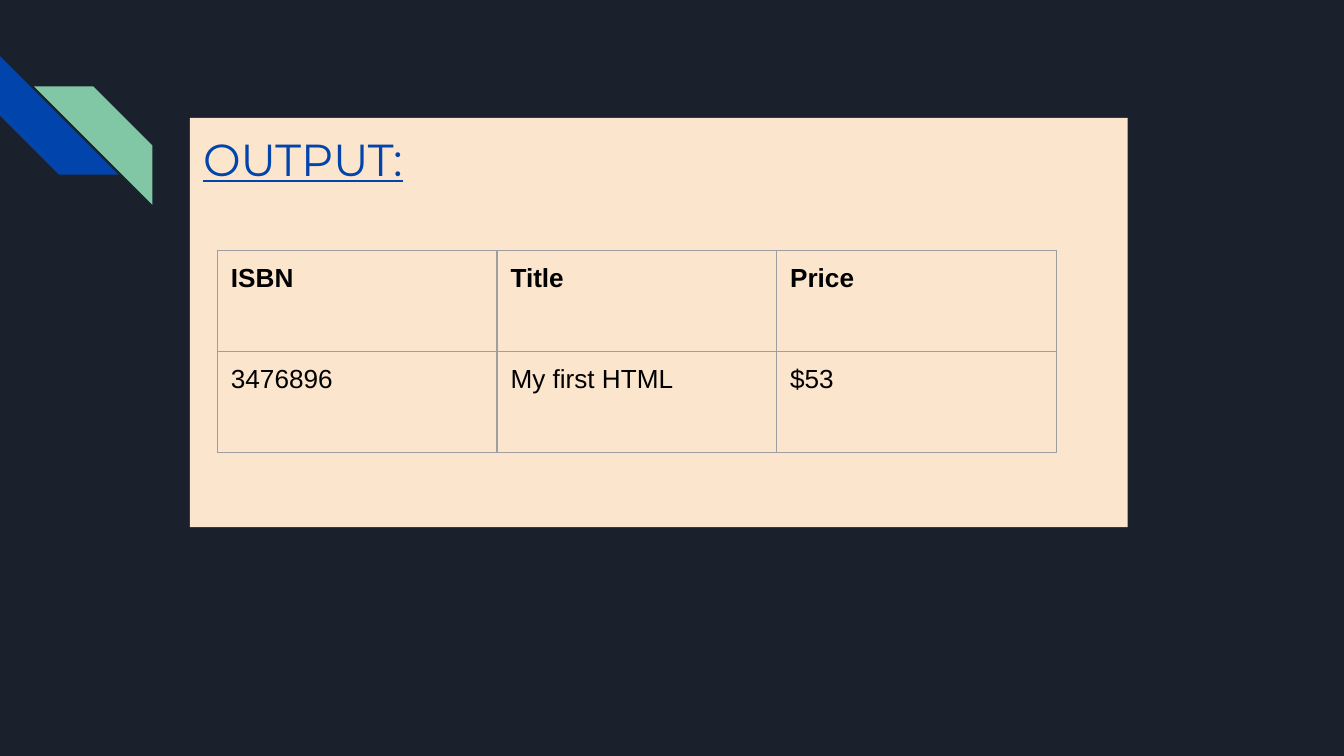
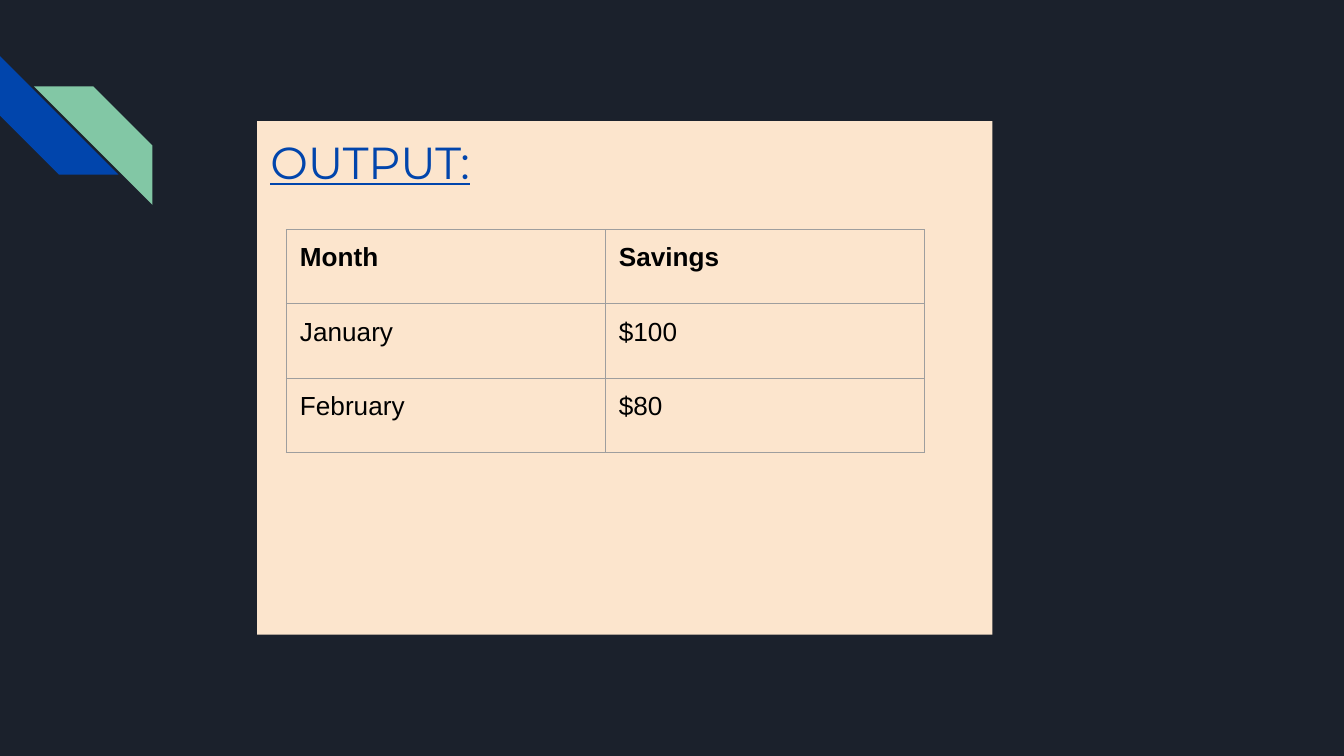
from dataclasses import dataclass
from lxml.etree import SubElement
from pptx import Presentation
from pptx.dml.color import RGBColor
from pptx.enum.shapes import MSO_SHAPE
from pptx.enum.text import MSO_ANCHOR, PP_ALIGN
from pptx.oxml.ns import qn
from pptx.util import Pt


@dataclass(frozen=True)
class Theme:
    night: str = "1B212C"
    blue: str = "0145AC"
    green: str = "82C7A5"
    cream: str = "FCE5CD"
    grey: str = "9E9E9E"
    black: str = "000000"
    head: str = "Montserrat"
    body: str = "Arial"
    large: int = 24
    small: int = 14
    inset: float = 7.2
    rule: float = 0.75


theme = Theme()


def add_box(slide, kind, left, top, width, height, color):
    box = slide.shapes.add_shape(kind, Pt(left), Pt(top), Pt(width), Pt(height))
    box.shadow.inherit = False
    box.fill.solid()
    box.fill.fore_color.rgb = RGBColor.from_string(color)
    box.line.fill.background()
    return box


def set_text(frame, text, name, size, color):
    frame.text = text
    frame.word_wrap = True
    frame.margin_left = frame.margin_right = Pt(theme.inset)
    frame.margin_top = frame.margin_bottom = Pt(theme.inset)
    line = frame.paragraphs[0]
    line.alignment = PP_ALIGN.LEFT
    font = line.runs[0].font
    font.name = name
    font.size = Pt(size)
    font.color.rgb = RGBColor.from_string(color)
    return font


stripes = [
    (0, 30.1, 270, theme.blue),
    (18.2, 46.3, 90, theme.green),
]
side = 63.5

pages = [
    {
        "panel": (101.7, 63.2, 502.4, 219.2),
        "grid": (116.5, 134.2),
        "cell": (149.8, 54.1),
        "rows": [
            ("ISBN", "Title", "Price"),
            ("3476896", "My first HTML", "$53"),
        ],
    },
    {
        "panel": (137.7, 64.9, 394, 275.2),
        "grid": (153.5, 123),
        "cell": (170.9, 39.8),
        "rows": [
            ("Month", "Savings"),
            ("January", "$100"),
            ("February", "$80"),
        ],
    },
]

deck = Presentation()
deck.slide_width = Pt(720)
deck.slide_height = Pt(405)
back = deck.slide_master.background.fill
back.solid()
back.fore_color.rgb = RGBColor.from_string(theme.night)

for page in pages:
    slide = deck.slides.add_slide(deck.slide_layouts[6])

    for left, top, turn, color in stripes:
        stripe = add_box(slide, MSO_SHAPE.DIAGONAL_STRIPE, left, top, side, side, color)
        stripe.adjustments[0] = 0.5
        stripe.rotation = turn

    panel = add_box(slide, MSO_SHAPE.RECTANGLE, *page["panel"], theme.cream)
    panel.text_frame.vertical_anchor = MSO_ANCHOR.TOP
    font = set_text(panel.text_frame, "OUTPUT:", theme.head, theme.large, theme.blue)
    font.underline = True

    rows = page["rows"]
    left, top = page["grid"]
    width, height = page["cell"]
    count = len(rows[0])
    table = slide.shapes.add_table(
        len(rows), count, Pt(left), Pt(top),
        Pt(width * count), Pt(height * len(rows)),
    ).table
    table.first_row = False
    table.horz_banding = False
    for column in table.columns:
        column.width = Pt(width)

    for r, row in enumerate(rows):
        table.rows[r].height = Pt(height)
        for c, text in enumerate(row):
            cell = table.cell(r, c)
            font = set_text(cell.text_frame, text, theme.body, theme.small, theme.black)
            font.bold = r == 0
            cell.margin_left = cell.margin_right = Pt(theme.inset)
            cell.margin_top = cell.margin_bottom = Pt(theme.inset)
            props = cell._tc.get_or_add_tcPr()
            for edge in ("lnL", "lnR", "lnT", "lnB"):
                line = SubElement(props, qn(f"a:{edge}"), w=str(Pt(theme.rule)))
                fill = SubElement(line, qn("a:solidFill"))
                SubElement(fill, qn("a:srgbClr"), val=theme.grey)
            cell.fill.background()

deck.save("out.pptx")
